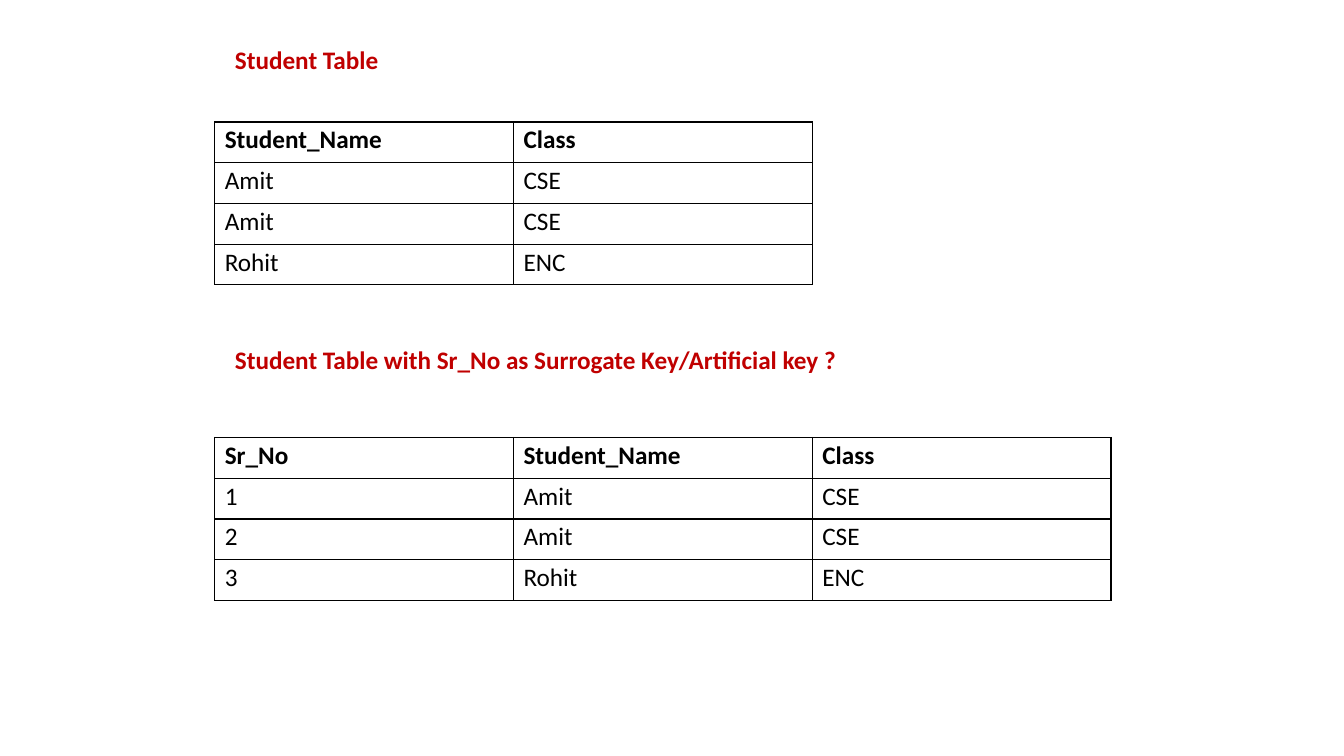
from lxml.etree import SubElement
from pptx import Presentation
from pptx.dml.color import RGBColor
from pptx.enum.text import MSO_ANCHOR, MSO_AUTO_SIZE, PP_ALIGN
from pptx.oxml.ns import qn
from pptx.util import Inches, Pt

BLACK = "000000"
RED = "C00000"
TABLE_LEFT = 2.13
HEADING_LEFT = 2.32
COLUMN_WIDTH = 2.963
ROW_HEIGHT = 0.404
STUDENTS = [("Amit", "CSE"), ("Amit", "CSE"), ("Rohit", "ENC")]


def rgb(value):
    return RGBColor.from_string(value)


def format_paragraph(paragraph, color, bold, space_before):
    paragraph.alignment = PP_ALIGN.LEFT
    paragraph.space_before = Pt(space_before)
    font = paragraph.font
    font.name = "Calibri"
    font.size = Pt(18)
    font.bold = bold
    font.color.rgb = rgb(color)


def write_heading(heading, text, top, width):
    """Place and format a heading, either a placeholder or a text box."""
    heading.left, heading.top = Inches(HEADING_LEFT), Inches(top)
    heading.width, heading.height = Inches(width), Inches(0.33)
    frame = heading.text_frame
    frame.text = text
    frame.word_wrap = True
    frame.auto_size = MSO_AUTO_SIZE.SHAPE_TO_FIT_TEXT
    frame.vertical_anchor = MSO_ANCHOR.TOP
    frame.margin_left = frame.margin_top = Inches(0.01)
    frame.margin_right = frame.margin_bottom = 0
    format_paragraph(frame.paragraphs[0], RED, True, 1)


def add_cell_borders(cell):
    properties = cell._tc.get_or_add_tcPr()
    for side in ("a:lnL", "a:lnR", "a:lnT", "a:lnB"):
        line = SubElement(properties, qn(side), w=str(Pt(1)))
        fill = SubElement(line, qn("a:solidFill"))
        SubElement(fill, qn("a:srgbClr"), val=BLACK)


def write_cell(cell, text, bold):
    cell.text = text
    cell.margin_left = Inches(0.1)
    cell.margin_top = Inches(0.03)
    cell.margin_right = cell.margin_bottom = 0
    cell.vertical_anchor = MSO_ANCHOR.TOP
    format_paragraph(cell.text_frame.paragraphs[0], BLACK, bold, 2.5)
    add_cell_borders(cell)
    cell.fill.background()


def add_student_table(slide, top, header, records):
    rows = [header, *records]
    table = slide.shapes.add_table(
        len(rows), len(header), Inches(TABLE_LEFT), Inches(top),
        Inches(COLUMN_WIDTH * len(header)), Inches(ROW_HEIGHT * len(rows)),
    ).table
    table.horz_banding = False
    for column in table.columns:
        column.width = Inches(COLUMN_WIDTH)
    for row_index, values in enumerate(rows):
        table.rows[row_index].height = Inches(ROW_HEIGHT)
        for column_index, value in enumerate(values):
            write_cell(table.cell(row_index, column_index), value, row_index == 0)


def main():
    presentation = Presentation()
    presentation.slide_width = Inches(13.33)
    presentation.slide_height = Inches(7.5)
    slide = presentation.slides.add_slide(
        presentation.slide_layouts.get_by_name("Title Only"))

    write_heading(slide.shapes.title, "Student Table", 0.43, 1.45)
    add_student_table(slide, 1.21, ("Student_Name", "Class"), STUDENTS)

    surrogate_heading = slide.shapes.add_textbox(0, 0, 0, 0)
    write_heading(surrogate_heading,
                  "Student Table with Sr_No as Surrogate Key/Artificial key ?",
                  3.41, 5.98)
    numbered_students = [(str(number), *student)
                         for number, student in enumerate(STUDENTS, start=1)]
    add_student_table(slide, 4.34, ("Sr_No", "Student_Name", "Class"),
                      numbered_students)

    presentation.save("out.pptx")


if __name__ == "__main__":
    main()
